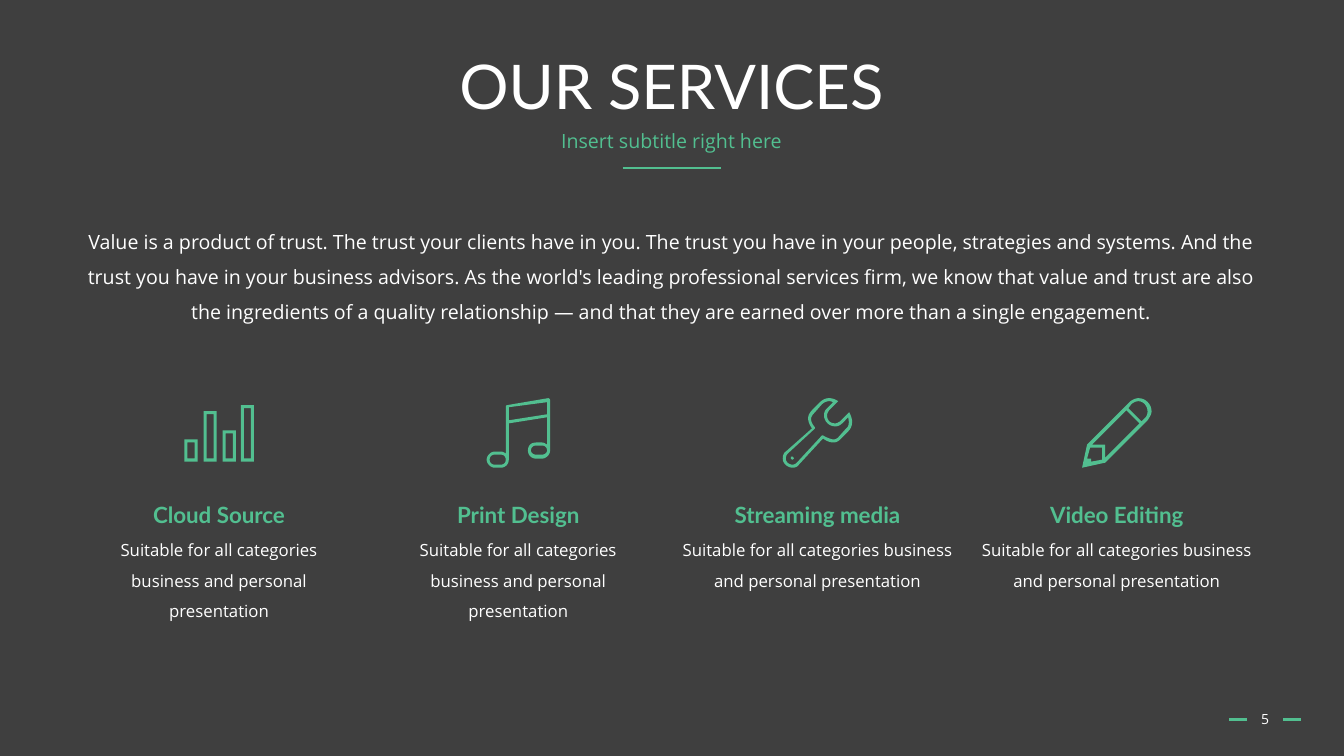
import pptx
import pptx.dml.color
import pptx.enum.shapes
import pptx.enum.text
import pptx.oxml
import pptx.util

Pt = pptx.util.Pt
ANCHOR = pptx.enum.text.MSO_ANCHOR
AUTO_SIZE = pptx.enum.text.MSO_AUTO_SIZE

COLORS = {"background": "3F3F3F", "accent": "52BF90", "text": "FFFFFF"}

INTRO = (
    "Value is a product of trust. The trust your clients have in you. "
    "The trust you have in your people, strategies and systems. And the trust "
    "you have in your business advisors. As the world's leading professional "
    "services firm, we know that value and trust are also the ingredients of a "
    "quality relationship — and that they are earned over more than a single "
    "engagement."
)
SERVICE_TEXT = "Suitable for all categories business and personal presentation"

# Icon contours in hundredths of an inch: a pair is a line end,
# six numbers are a Bézier curve (two handles and the end).
ICON_UNIT = 0.72
CURVE_STEPS = 8


def bar_contours(left, top, width=13, bottom=56, wall=3):
    """Outer and inner rectangle of one bar in the chart icon."""
    for inset in (0, wall):
        x1, y1 = left + inset, top + inset
        x2, y2 = left + width - inset, bottom - inset
        yield f"{x1} {y1}, {x2} {y1}, {x2} {y2}, {x1} {y2}"


BARS_ICON = [
    contour
    for left, top in ((0, 34), (19, 6), (38, 25), (56, 0))
    for contour in bar_contours(left, top)
]
NOTE_ICON = [
    "61 0, 20 7, 19 8, 19 55, 18 54 16 53 14 53, 8 53, 4 53 0 57 0 61, "
    "0 65 4 69 8 69, 14 69, 19 69 22 65 22 61, 22 25, 60 19, 60 46, "
    "58 45 57 44 55 44, 49 44, 44 44 41 47 41 52, 41 56 44 60 49 60, 55 60, "
    "59 60 63 56 63 52, 63 2, 63 1 62 0 61 0",
    "14 66, 8 66, 5 66 3 64 3 61, 3 58 5 56 8 56, 14 56, "
    "17 56 19 58 19 61, 19 64 17 66 14 66",
    "55 56, 49 56, 46 56 44 54 44 52, 44 49 46 47 49 47, 55 47, "
    "58 47 60 49 60 52, 60 54 58 56 55 56",
    "60 16, 22 22, 22 9, 60 4",
]
WRENCH_ICON = [
    "66 14, 65 15, 57 23, 55 24 54 25 52 25, 47 25 44 22 44 17, "
    "44 15 45 14 46 12, 44 10, 42 12 41 14 41 17, 41 23 46 28 52 28, "
    "55 28 57 27 59 25, 65 19, 66 24 66 28 63 30, 55 39, 54 40 52 41 50 41, "
    "50 41 45 40 40 37, 39 37, 38 38, 14 64, 13 65 11 66 10 66, "
    "6 66 3 63 3 60, 3 58 4 56 5 55, 31 31, 32 30, 32 29, 27 23 27 19 31 15, "
    "39 6, 41 4 44 3 46 3, 47 3 48 3 50 4, 44 10, 46 12, 54 4, 55 3, "
    "52 1 49 0 46 0, 43 0 40 1 37 4, 29 12, 23 18 25 24 29 30, 3 53, "
    "1 54 0 57 0 60, 0 65 5 69 10 69, 12 69 15 68 16 66, 40 40, "
    "45 44 50 44 50 44, 53 44 55 43 57 41, 65 33, 70 28 70 21 66 14",
    "8 58, 8 59 8 59 8 60, 8 60 9 61 10 61, 10 61 11 60 11 60, "
    "11 59 10 58 10 58, 9 58 9 58 8 58",
]
PENCIL_ICON = [
    "56 0, 53 0 49 2 47 4, 5 46, 0 69, 23 64, 65 22, 67 19 69 16 69 13, "
    "69 6 63 0 56 0",
    "20 61, 9 63, 9 60, 5 60, 8 49, 20 49",
    "23 59, 23 47, 23 46 23 46 22 46, 10 46, 44 12, 57 25",
    "63 19, 59 23, 46 10, 49 6, 49 6 52 3 56 3, 61 3 65 8 65 13, "
    "65 16 64 18 63 19",
]

# Title, icon, icon left and top, description width
SERVICES = [
    ("Cloud Source", BARS_ICON, 131.8, 289.4, 196.6),
    ("Print Design", NOTE_ICON, 347.8, 284.4, 192.2),
    ("Streaming media", WRENCH_ICON, 559.4, 284.4, 207.4),
    ("Video Editing", PENCIL_ICON, 773.3, 284.4, 207.4),
]
FIRST_CENTER, COLUMN_PITCH = 156.6, 213.85
TITLE_WIDTH = 160


def rgb(name):
    return pptx.dml.color.RGBColor.from_string(COLORS[name])


def add_text(slide, text, left, top, width, height, *, size, font="Open Sans",
             color="text", bold=False, spacing=1.0, anchor=ANCHOR.TOP,
             wrap=True, grow=False):
    frame = slide.shapes.add_textbox(
        Pt(left), Pt(top), Pt(width), Pt(height)).text_frame
    frame.word_wrap = wrap
    frame.vertical_anchor = anchor
    frame.auto_size = AUTO_SIZE.SHAPE_TO_FIT_TEXT if grow else AUTO_SIZE.NONE
    paragraph = frame.paragraphs[0]
    paragraph.alignment = pptx.enum.text.PP_ALIGN.CENTER
    paragraph.line_spacing = spacing
    run = paragraph.add_run()
    run.text = text
    run.font.name = font
    run.font.size = Pt(size)
    run.font.bold = bold
    run.font.color.rgb = rgb(color)


def add_rule(slide, start, end, y):
    rule = slide.shapes.add_connector(
        pptx.enum.shapes.MSO_CONNECTOR.STRAIGHT, Pt(start), Pt(y), Pt(end), Pt(y))
    rule.line.color.rgb = rgb("accent")
    rule.line.width = Pt(1.75)
    properties = rule._element.spPr
    properties.append(pptx.oxml.parse_xml(
        '<a:effectLst xmlns:a="http://schemas.openxmlformats.org/drawingml/2006/main"/>'))


def contour_points(contour):
    """Turn a contour into points, in hundredths of a point."""
    points = []
    for segment in contour.split(","):
        numbers = [float(n) * ICON_UNIT * 100 for n in segment.split()]
        pairs = list(zip(numbers[::2], numbers[1::2]))
        if len(pairs) == 1:
            points += pairs
            continue
        curve = [points[-1], *pairs]
        for step in range(1, CURVE_STEPS + 1):
            t = step / CURVE_STEPS
            weights = ((1 - t) ** 3, 3 * t * (1 - t) ** 2, 3 * t * t * (1 - t), t ** 3)
            points.append(tuple(
                sum(w * p[axis] for w, p in zip(weights, curve)) for axis in (0, 1)))
    return points


def add_icon(slide, contours, left, top):
    outlines = [contour_points(contour) for contour in contours]
    builder = slide.shapes.build_freeform(*outlines[0][0], scale=Pt(0.01))
    for index, (start, *rest) in enumerate(outlines):
        if index:
            builder.move_to(*start)
        builder.add_line_segments(rest, close=True)
    icon = builder.convert_to_shape(Pt(left), Pt(top))
    icon.shadow.inherit = False
    icon.fill.solid()
    icon.fill.fore_color.rgb = rgb("accent")
    icon.line.fill.background()


def add_service(slide, center, title, contours, icon_left, icon_top, width):
    add_icon(slide, contours, icon_left, icon_top)
    add_text(slide, title, center - TITLE_WIDTH / 2, 354.6, TITLE_WIDTH, 26.6,
             size=16, font="Lato", color="accent", bold=True)
    add_text(slide, SERVICE_TEXT, center - width / 2, 375, width, 72, size=12,
             spacing=1.5, grow=True)


def main():
    deck = pptx.Presentation()
    deck.slide_width, deck.slide_height = Pt(960.5), Pt(540)
    slide = deck.slides.add_slide(deck.slide_layouts[6])
    slide.background.fill.solid()
    slide.background.fill.fore_color.rgb = rgb("background")

    # Heading
    add_text(slide, "OUR SERVICES", 66, 28.8, 828, 70.6, size=44, font="Lato",
             spacing=0.9, anchor=ANCHOR.MIDDLE)
    add_text(slide, "Insert subtitle right here", 66, 90.7, 828, 28.8, size=14,
             color="accent", spacing=0.9)
    add_rule(slide, 445, 515.5, 120.2)

    # Introduction
    add_text(slide, INTRO, 50.4, 152, 859, 100, size=14, spacing=1.5)

    # Service columns
    for column, service in enumerate(SERVICES):
        add_service(slide, FIRST_CENTER + column * COLUMN_PITCH, *service)

    # Page number between two dashes
    add_text(slide, "5", 882.9, 499.4, 42.5, 28.8, size=10, anchor=ANCHOR.MIDDLE)
    for dash_left in (878.5, 917):
        add_rule(slide, dash_left, dash_left + 12.7, 513.8)

    deck.save("out.pptx")


if __name__ == "__main__":
    main()
